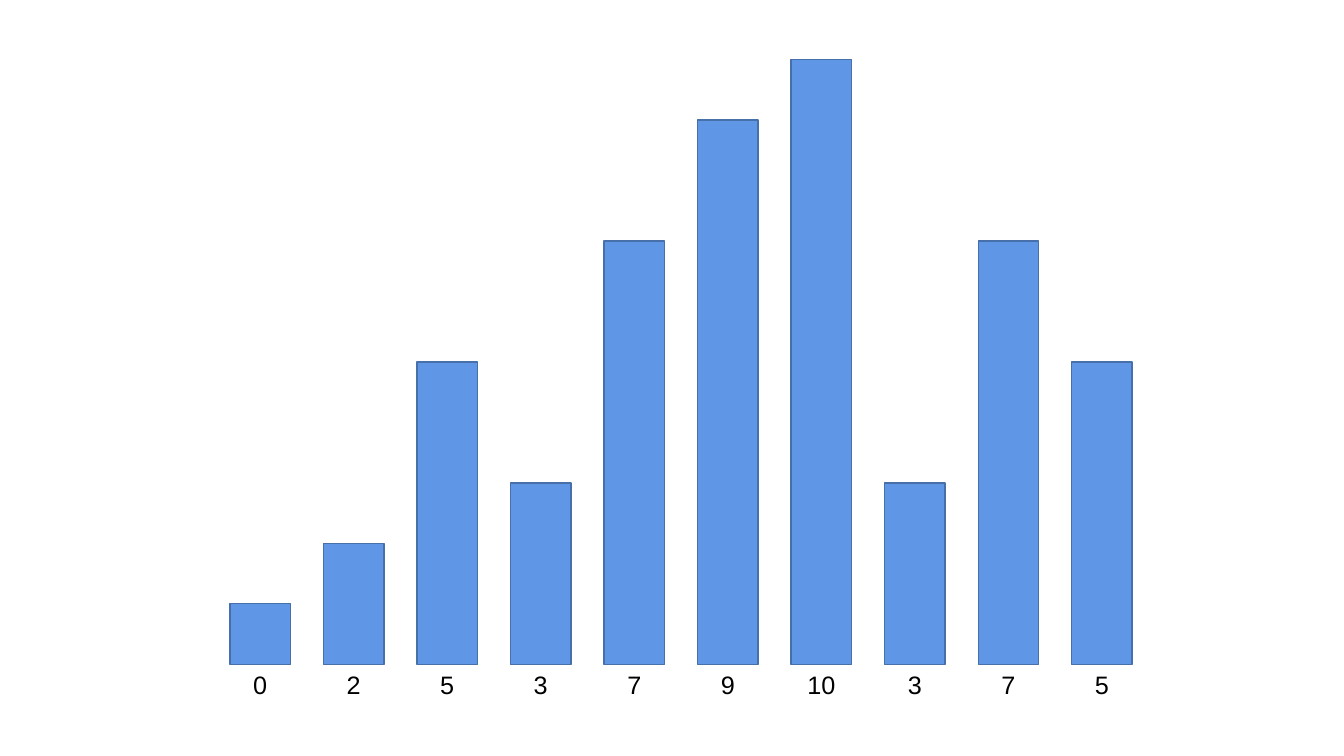
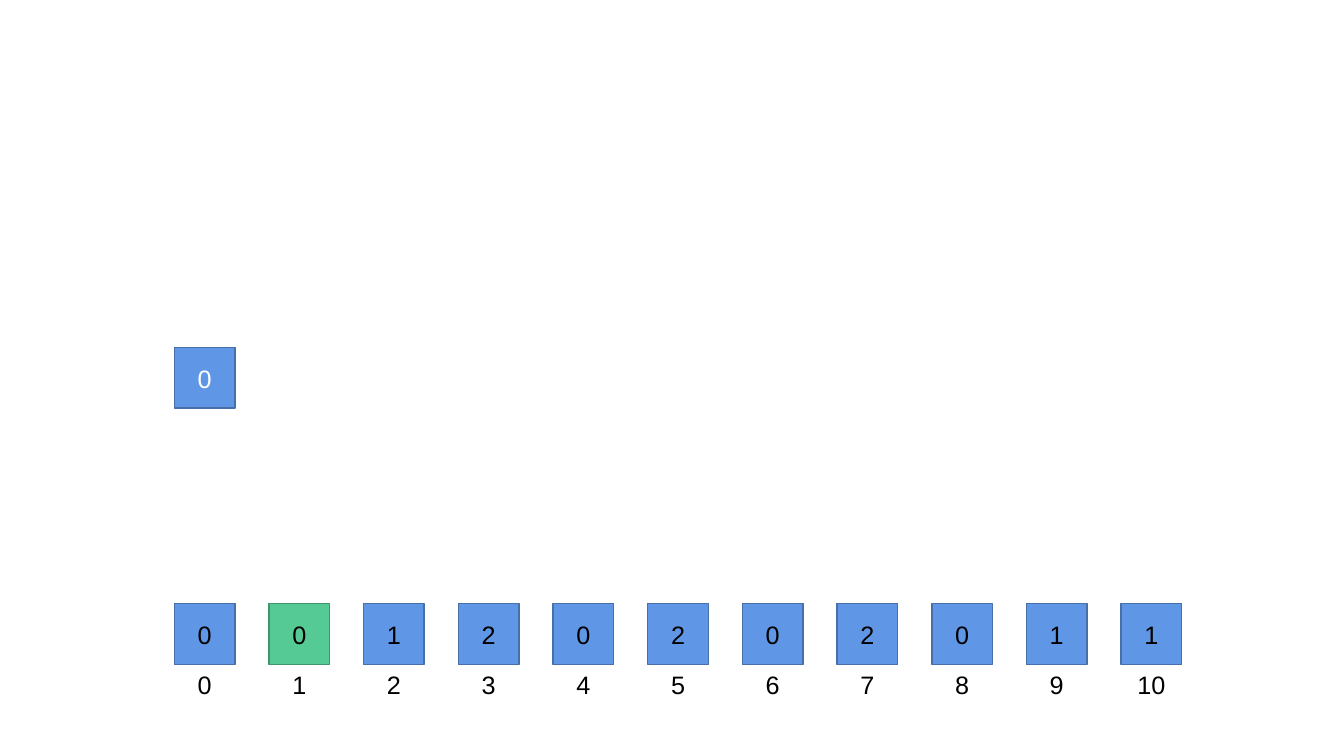
from dataclasses import dataclass

from pptx import Presentation
from pptx.dml.color import RGBColor
from pptx.enum.shapes import MSO_SHAPE
from pptx.enum.text import MSO_ANCHOR, PP_ALIGN
from pptx.slide import Slide
from pptx.text.text import TextFrame
from pptx.util import Inches, Pt

BLACK, WHITE = "000000", "FFFFFF"
UNIT = 0.6
BASELINE = 6.59
LABEL_HEIGHT = 0.4
FONT = {"name": "Arial", "size": Pt(18)}


@dataclass(frozen=True)
class Style:
    fill: str
    line: str


@dataclass(frozen=True)
class Box:
    left: float
    bottom: float = BASELINE
    units: int = 1
    text: str = ""
    color: str = BLACK
    style: Style = Style("6096E6", "476FAA")


BLUE = Style("6096E6", "476FAA")
GREEN = Style("56CA95", "40956E")


def rgb(value: str) -> RGBColor:
    return RGBColor.from_string(value)


def write(tf: TextFrame, text: str, color: str, anchor: MSO_ANCHOR) -> None:
    for name, value in {"word_wrap": True, "vertical_anchor": anchor}.items():
        setattr(tf, name, value)
    p = tf.paragraphs[0]
    p.alignment = PP_ALIGN.CENTER
    r = p.add_run()
    r.text = text
    for name, value in FONT.items():
        setattr(r.font, name, value)
    r.font.color.rgb = rgb(color)


def add_box(s: Slide, box: Box) -> None:
    height = box.units * UNIT
    sp = s.shapes.add_shape(
        MSO_SHAPE.RECTANGLE, Inches(box.left), Inches(box.bottom - height),
        Inches(UNIT), Inches(height))
    sp.shadow.inherit = False
    sp.fill.solid()
    sp.fill.fore_color.rgb = rgb(box.style.fill)
    sp.line.color.rgb = rgb(box.style.line)
    sp.line.width = Pt(1)
    if box.text:
        write(sp.text_frame, box.text, box.color, MSO_ANCHOR.MIDDLE)


def add_label(s: Slide, left: float, text: str) -> None:
    sp = s.shapes.add_textbox(
        Inches(left), Inches(BASELINE), Inches(UNIT), Inches(LABEL_HEIGHT))
    write(sp.text_frame, text, BLACK, MSO_ANCHOR.TOP)


def spread(first: float, last: float, count: int) -> list[float]:
    return [first + i * (last - first) / (count - 1) for i in range(count)]


def build_bars(s: Slide, values: list[int]) -> None:
    for left, value in zip(spread(2.28, 10.63, len(values)), values):
        add_box(s, Box(left, units=max(value, 1)))
        add_label(s, left, str(value))


def build_counts(s: Slide, counts: list[int], active: int) -> None:
    lefts = spread(1.73, 11.12, len(counts))
    for i, (left, count) in enumerate(zip(lefts, counts)):
        style = GREEN if i == active else BLUE
        add_box(s, Box(left, text=str(count), style=style))
        add_label(s, left, str(i))
    add_box(s, Box(lefts[0], bottom=4.05, text="0", color=WHITE))


prs = Presentation()
prs.slide_width, prs.slide_height = Inches(13.33), Inches(7.5)
blank = prs.slide_layouts[6]
build_bars(prs.slides.add_slide(blank), [0, 2, 5, 3, 7, 9, 10, 3, 7, 5])
build_counts(prs.slides.add_slide(blank), [0, 0, 1, 2, 0, 2, 0, 2, 0, 1, 1], active=1)
prs.save("out.pptx")
